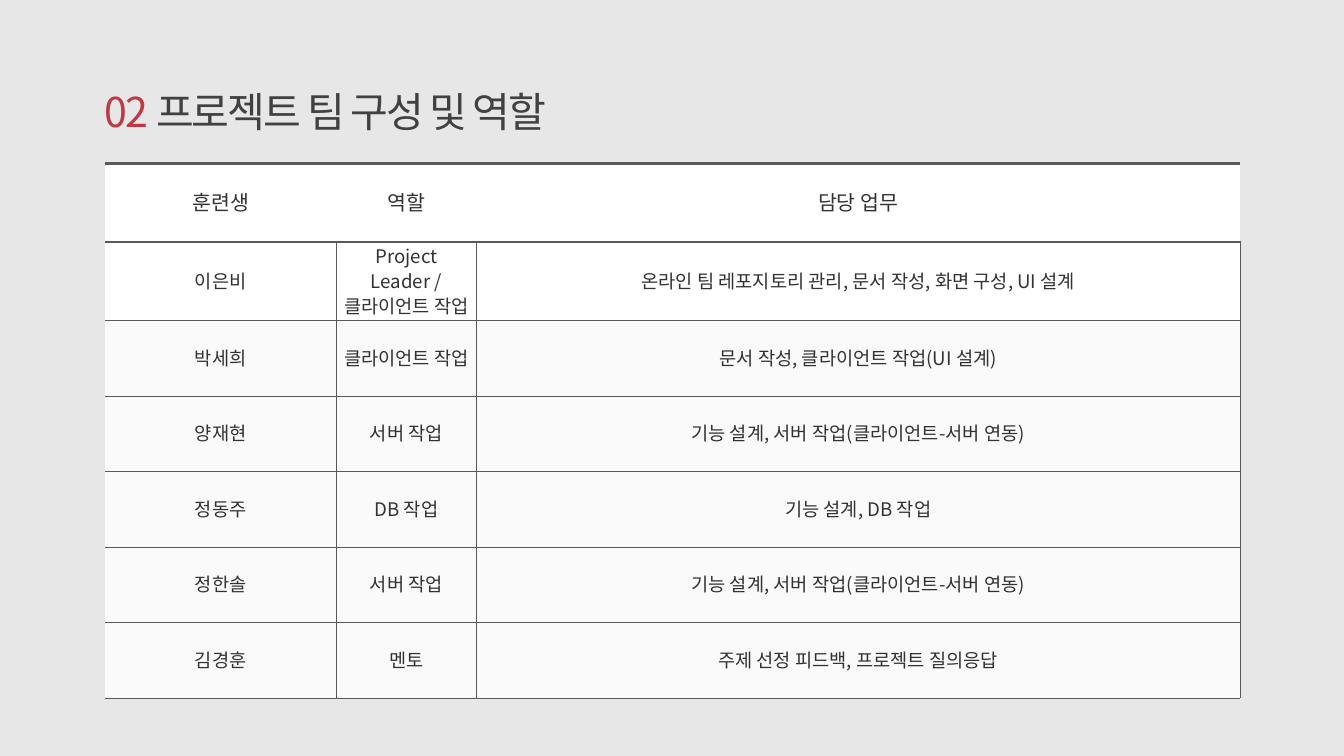
import itertools
from dataclasses import dataclass

import lxml.etree
import pptx
import pptx.dml.color
import pptx.enum.text
import pptx.oxml.ns
import pptx.util

Pt = pptx.util.Pt


@dataclass(frozen=True)
class Theme:
    background: str = "E7E7E7"
    accent: str = "C13844"
    title: str = "414141"
    text: str = "323232"
    line: str = "595959"
    white: str = "FFFFFF"
    row: str = "FAFAFA"
    hangul_font: str = "Calibri"
    latin_font: str = "Noto Sans CJK KR"
    title_size: float = 44
    header_size: float = 22
    body_size: float = 20
    thin: float = 0.5
    thick: float = 3.5


THEME = Theme()
COLUMN_WIDTHS = [248, 150, 818]
ROW_HEIGHTS = [84.25] * 2 + [80.9] * 5
TEAM = [
    ["훈련생", "역할", "담당 업무"],
    ["이은비", "Project Leader /\n클라이언트 작업",
     "온라인 팀 레포지토리 관리, 문서 작성, 화면 구성, UI 설계"],
    ["박세희", "클라이언트 작업", "문서 작성, 클라이언트 작업(UI 설계)"],
    ["양재현", "서버 작업", "기능 설계, 서버 작업(클라이언트-서버 연동)"],
    ["정동주", "DB 작업", "기능 설계, DB 작업"],
    ["정한솔", "서버 작업", "기능 설계, 서버 작업(클라이언트-서버 연동)"],
    ["김경훈", "멘토", "주제 선정 피드백, 프로젝트 질의응답"],
]


def rgb(color):
    return pptx.dml.color.RGBColor.from_string(color)


def add_element(parent, tag, **attributes):
    return lxml.etree.SubElement(parent, pptx.oxml.ns.qn(tag), attributes)


def is_hangul(character):
    return "가" <= character <= "힣"


def split_scripts(text):
    """Split into Hangul and other pieces; a space stays with the piece before it."""
    scripts = itertools.accumulate(
        text, lambda script, character: script if character == " " else is_hangul(character),
        initial=is_hangul(text[0]))
    pairs = zip(itertools.islice(scripts, 1, None), text)
    for hangul, group in itertools.groupby(pairs, key=lambda pair: pair[0]):
        yield hangul, "".join(character for _, character in group)


def add_runs(paragraph, text, size, color, spacing=None):
    for hangul, piece in split_scripts(text):
        run = paragraph.add_run()
        run.text = piece
        run.font.size = Pt(size)
        run.font.bold = False
        run.font.color.rgb = rgb(color)
        run.font.name = THEME.hangul_font if hangul else THEME.latin_font
        properties = run.font._element
        add_element(properties, "a:ea", typeface=THEME.latin_font)
        if spacing is not None:
            properties.set("spc", str(spacing * 100))


def set_borders(cell, left, right, top, bottom):
    properties = cell._tc.get_or_add_tcPr()
    for side, width in zip("LRTB", (left, right, top, bottom)):
        line = add_element(properties, f"a:ln{side}", w=str(int(Pt(width))))
        if width:
            fill = add_element(line, "a:solidFill")
            add_element(fill, "a:srgbClr", val=THEME.line)
        else:
            add_element(line, "a:noFill")


def fill_cell(cell, text, size, fill, line_spacing):
    cell.fill.solid()
    cell.fill.fore_color.rgb = rgb(fill)
    cell.vertical_anchor = pptx.enum.text.MSO_ANCHOR.MIDDLE
    cell.margin_left = cell.margin_right = Pt(1.5)
    cell.margin_top = cell.margin_bottom = Pt(1.5)
    frame = cell.text_frame
    for index, line in enumerate(text.split("\n")):
        paragraph = frame.add_paragraph() if index else frame.paragraphs[0]
        paragraph.alignment = pptx.enum.text.PP_ALIGN.CENTER
        paragraph.line_spacing = line_spacing
        add_runs(paragraph, line, size, THEME.text)


def add_team_table(slide):
    table = slide.shapes.add_table(
        len(TEAM), len(COLUMN_WIDTHS), Pt(112.5), Pt(175),
        Pt(sum(COLUMN_WIDTHS)), Pt(sum(ROW_HEIGHTS))).table
    table.first_row = table.horz_banding = False
    for column, width in zip(table.columns, COLUMN_WIDTHS):
        column.width = Pt(width)
    for row, height in zip(table.rows, ROW_HEIGHTS):
        row.height = Pt(height)

    for row_index, texts in enumerate(TEAM):
        header = row_index == 0
        top = THEME.thick if row_index < 2 else THEME.thin
        bottom = THEME.thick if header else THEME.thin
        for column_index, text in enumerate(texts):
            cell = table.cell(row_index, column_index)
            # The header has no upright lines, and the table is open on the left
            left = 0 if header or column_index == 0 else THEME.thin
            right = 0 if header else THEME.thin
            set_borders(cell, left, right, top, bottom)
            fill_cell(cell, text,
                      THEME.header_size if header else THEME.body_size,
                      THEME.white if row_index < 2 else THEME.row,
                      0.92 if row_index < 3 else 0.83)


def add_title(slide, number, text):
    frame = slide.shapes.add_textbox(Pt(112.5), Pt(84.2), Pt(488), Pt(62)).text_frame
    frame.word_wrap = True
    frame.vertical_anchor = pptx.enum.text.MSO_ANCHOR.MIDDLE
    frame.margin_left = frame.margin_right = 0
    frame.margin_top = frame.margin_bottom = 0
    paragraph = frame.paragraphs[0]
    paragraph.line_spacing = 1.16
    add_runs(paragraph, number, THEME.title_size, THEME.accent, spacing=-2)
    add_runs(paragraph, text, THEME.title_size, THEME.title, spacing=-2)


def main():
    presentation = pptx.Presentation()
    presentation.slide_width, presentation.slide_height = Pt(1440), Pt(810)
    slide = presentation.slides.add_slide(presentation.slide_layouts[6])

    # Background
    slide.background.fill.solid()
    slide.background.fill.fore_color.rgb = rgb(THEME.background)

    # Team roles and heading
    add_team_table(slide)
    add_title(slide, "02 ", "프로젝트 팀 구성 및 역할")

    presentation.save("out.pptx")


if __name__ == "__main__":
    main()
